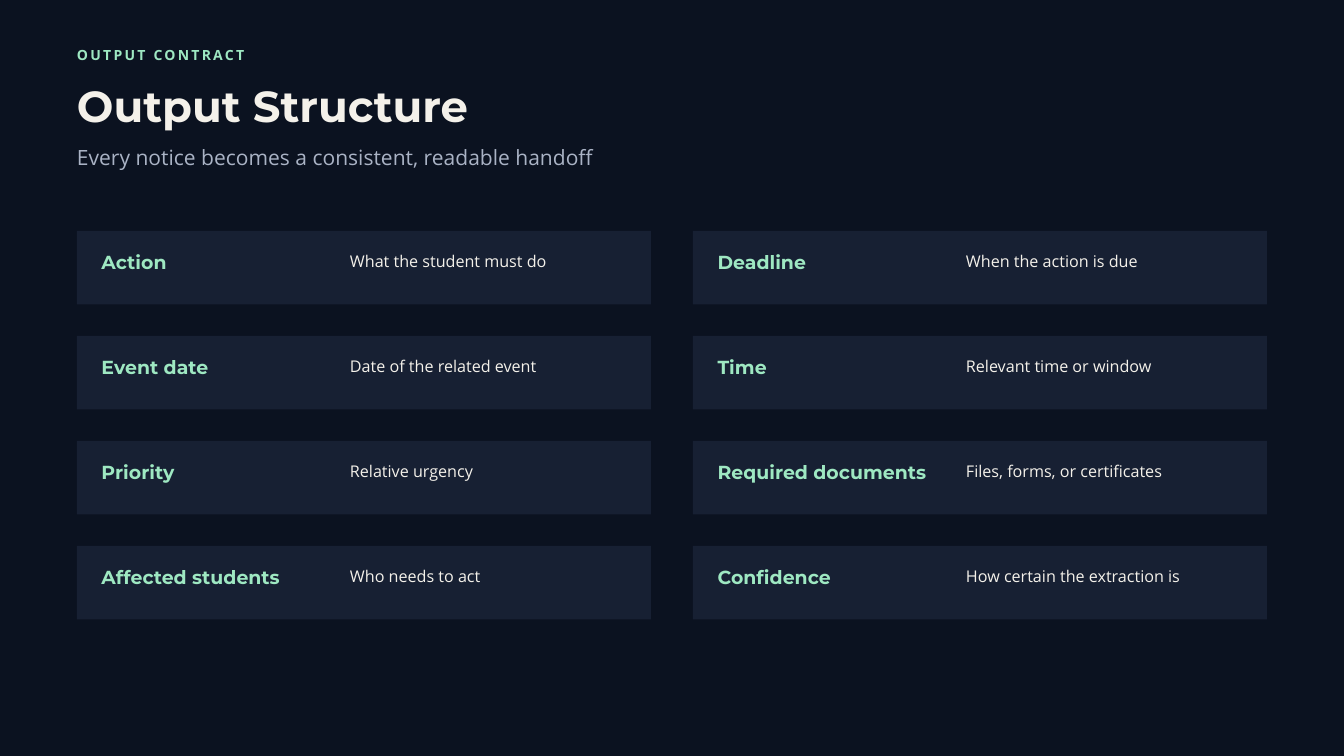
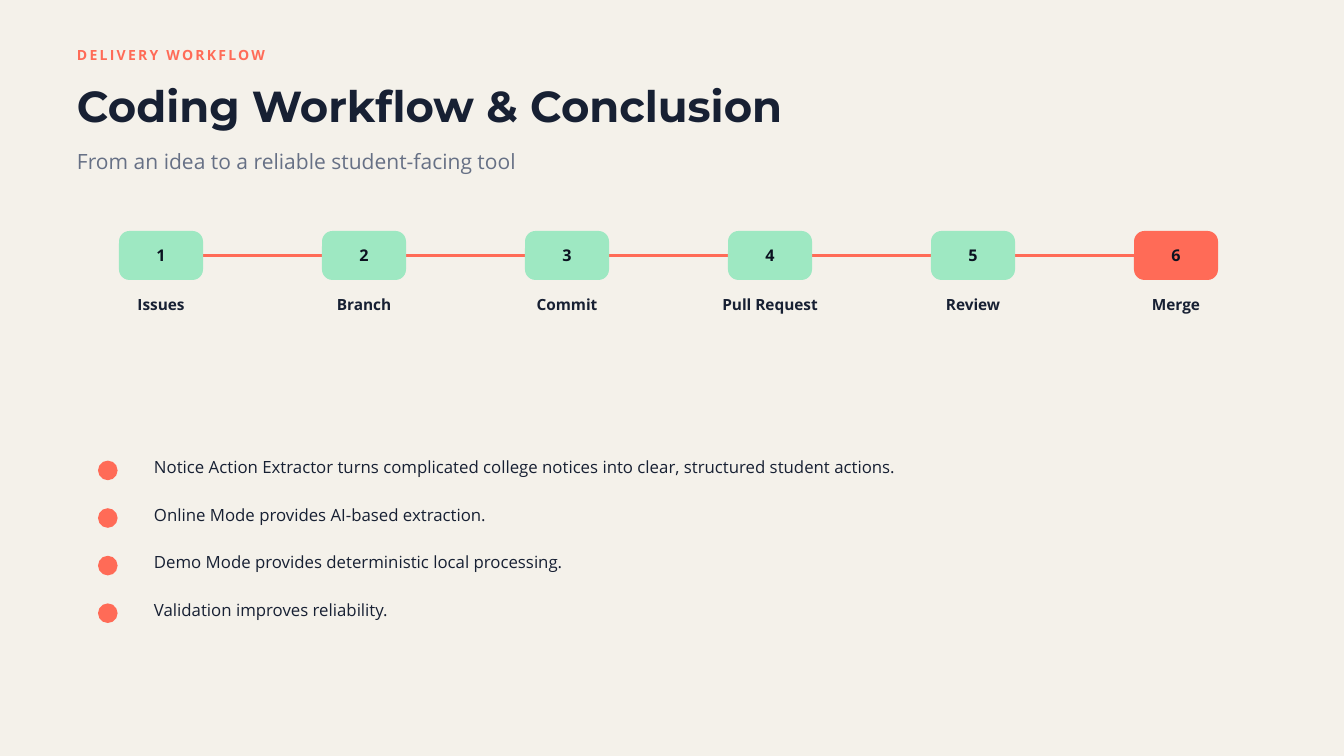
from typing import NamedTuple

from lxml.etree import SubElement
from pptx import Presentation
from pptx.dml.color import RGBColor
from pptx.enum.shapes import MSO_CONNECTOR as Connector, MSO_SHAPE as Preset
from pptx.enum.text import MSO_ANCHOR as Anchor, MSO_AUTO_SIZE as AutoSize, PP_ALIGN as Align
from pptx.oxml.ns import qn
from pptx.util import Emu, Pt

EMU_PER_PX = 9525

INK = "0B1220"
NAVY = "172033"
CREAM = "F4F1EA"
MINT = "9EE8C2"
CORAL = "FF6B57"
MIST = "AAB3C5"
SLATE = "667085"

HEADING = "Montserrat"
BODY = "Open Sans"
MARGIN = 110
CONTENT_TOP = 330


class Box(NamedTuple):
    left: int
    top: int
    width: int
    height: int


class Style(NamedTuple):
    size: float
    color: str
    font: str = BODY
    bold: bool = False
    leading: float = 1.4
    align: Align = Align.LEFT
    tracking: int = 0


class Header(NamedTuple):
    kicker: str
    title: str
    subtitle: str
    title_width: int
    subtitle_top: int
    subtitle_width: int


class Theme(NamedTuple):
    background: str
    kicker: str
    title: str
    subtitle: str


class Field(NamedTuple):
    name: str
    meaning: str


DARK = Theme(INK, MINT, CREAM, MIST)
LIGHT = Theme(CREAM, CORAL, NAVY, SLATE)

FIELDS = [
    Field("Action", "What the student must do"),
    Field("Deadline", "When the action is due"),
    Field("Event date", "Date of the related event"),
    Field("Time", "Relevant time or window"),
    Field("Priority", "Relative urgency"),
    Field("Required documents", "Files, forms, or certificates"),
    Field("Affected students", "Who needs to act"),
    Field("Confidence", "How certain the extraction is"),
]
STEPS = ["Issues", "Branch", "Commit", "Pull Request", "Review", "Merge"]
CONCLUSIONS = [
    "Notice Action Extractor turns complicated college notices into clear, structured student actions.",
    "Online Mode provides AI-based extraction.",
    "Demo Mode provides deterministic local processing.",
    "Validation improves reliability.",
]

FIELD_NAME = Style(20.25, MINT, HEADING, bold=True)
FIELD_MEANING = Style(17.25, CREAM)
STEP_NUMBER = Style(17.25, INK, bold=True, leading=1.15, align=Align.CENTER)
STEP_NAME = Style(16.5, NAVY, bold=True, align=Align.CENTER)
CONCLUSION = Style(18, NAVY)


def px(length: int) -> Emu:
    return Emu(length * EMU_PER_PX)


def rgb(color: str) -> RGBColor:
    return RGBColor.from_string(color)


def write(shape, text: str, style: Style, inset: int = 0) -> None:
    frame = shape.text_frame
    frame.word_wrap = True
    frame.margin_left = frame.margin_right = px(inset)
    frame.margin_top = frame.margin_bottom = px(inset)
    paragraph = frame.paragraphs[0]
    paragraph.alignment = style.align
    paragraph.line_spacing = Pt(style.size * style.leading)
    run = paragraph.add_run()
    run.text = text
    font = run.font
    font.name = style.font
    font.size = Pt(style.size)
    font.bold = style.bold
    font.color.rgb = rgb(style.color)
    if style.tracking:
        font._element.set("spc", str(style.tracking))


def write_label(shape, text: str, style: Style) -> None:
    write(shape, text, style)
    shape.text_frame.vertical_anchor = Anchor.TOP
    shape.text_frame.auto_size = AutoSize.SHAPE_TO_FIT_TEXT


def add_label(shapes, box: Box, text: str, style: Style) -> None:
    write_label(shapes.add_textbox(*map(px, box)), text, style)


def add_block(shapes, preset: Preset, box: Box, color: str):
    block = shapes.add_shape(preset, *map(px, box))
    block.shadow.inherit = False
    block.fill.solid()
    block.fill.fore_color.rgb = rgb(color)
    block.line.fill.background()
    return block


def add_group(slide):
    return slide.shapes.add_group_shape().shapes


def start_slide(deck, theme: Theme, header: Header):
    slide = deck.slides.add_slide(deck.slide_layouts[5])
    fill = slide.background.fill
    fill.solid()
    fill.fore_color.rgb = rgb(theme.background)

    add_label(slide.shapes, Box(MARGIN, 62, 600, 27), header.kicker,
              Style(15, theme.kicker, bold=True, tracking=240))
    title = slide.shapes.title
    title.left, title.top, title.width, title.height = map(
        px, Box(MARGIN, 121, header.title_width, 67))
    write_label(title, header.title, Style(46.5, theme.title, HEADING, bold=True, leading=1.08))
    add_label(slide.shapes, Box(MARGIN, header.subtitle_top, header.subtitle_width, 40),
              header.subtitle, Style(22.5, theme.subtitle))
    return slide


def add_field_card(slide, left: int, top: int, field: Field) -> None:
    card = add_group(slide)
    add_block(card, Preset.RECTANGLE, Box(left, top, 820, 105), NAVY)
    add_label(card, Box(left + 35, top + 22, 330, 35), field.name, FIELD_NAME)
    add_label(card, Box(left + 390, top + 25, 370, 30), field.meaning, FIELD_MEANING)


def add_track(slide, start: int, end: int, y: int) -> None:
    track = slide.shapes.add_connector(Connector.STRAIGHT, px(start), px(y), px(end), px(y))
    track.line.color.rgb = rgb(CORAL)
    track.line.width = Pt(3.75)
    SubElement(track._element.spPr, qn("a:effectLst"))


def add_step(slide, left: int, number: int, name: str, color: str) -> None:
    step = add_group(slide)
    node = add_block(step, Preset.ROUNDED_RECTANGLE, Box(left, CONTENT_TOP, 120, 70), color)
    node.adjustments[0] = 15 / 70
    write(node, str(number), STEP_NUMBER, inset=6)
    node.text_frame.vertical_anchor = Anchor.MIDDLE
    add_label(step, Box(left - 65, CONTENT_TOP + 87, 250, 29), name, STEP_NAME)


def add_conclusion(slide, top: int, text: str) -> None:
    row = add_group(slide)
    add_block(row, Preset.OVAL, Box(140, top + 10, 28, 28), CORAL)
    add_label(row, Box(220, top, 1500, 31), text, CONCLUSION)


def build_output_structure(deck) -> None:
    slide = start_slide(deck, DARK, Header(
        "OUTPUT CONTRACT", "Output Structure",
        "Every notice becomes a consistent, readable handoff", 1000, 201, 1300))
    for index, field in enumerate(FIELDS):
        row, column = divmod(index, 2)
        add_field_card(slide, MARGIN + column * 880, CONTENT_TOP + row * 150, field)


def build_workflow(deck) -> None:
    slide = start_slide(deck, LIGHT, Header(
        "DELIVERY WORKFLOW", "Coding Workflow & Conclusion",
        "From an idea to a reliable student-facing tool", 1500, 206, 1400))
    add_track(slide, 220, 1690, CONTENT_TOP + 35)
    for index, name in enumerate(STEPS):
        color = CORAL if name == STEPS[-1] else MINT
        add_step(slide, 170 + index * 290, index + 1, name, color)
    for index, text in enumerate(CONCLUSIONS):
        add_conclusion(slide, 648 + index * 68, text)


def main() -> None:
    deck = Presentation()
    deck.slide_width, deck.slide_height = px(1920), px(1080)
    build_output_structure(deck)
    build_workflow(deck)
    deck.save("out.pptx")


if __name__ == "__main__":
    main()
